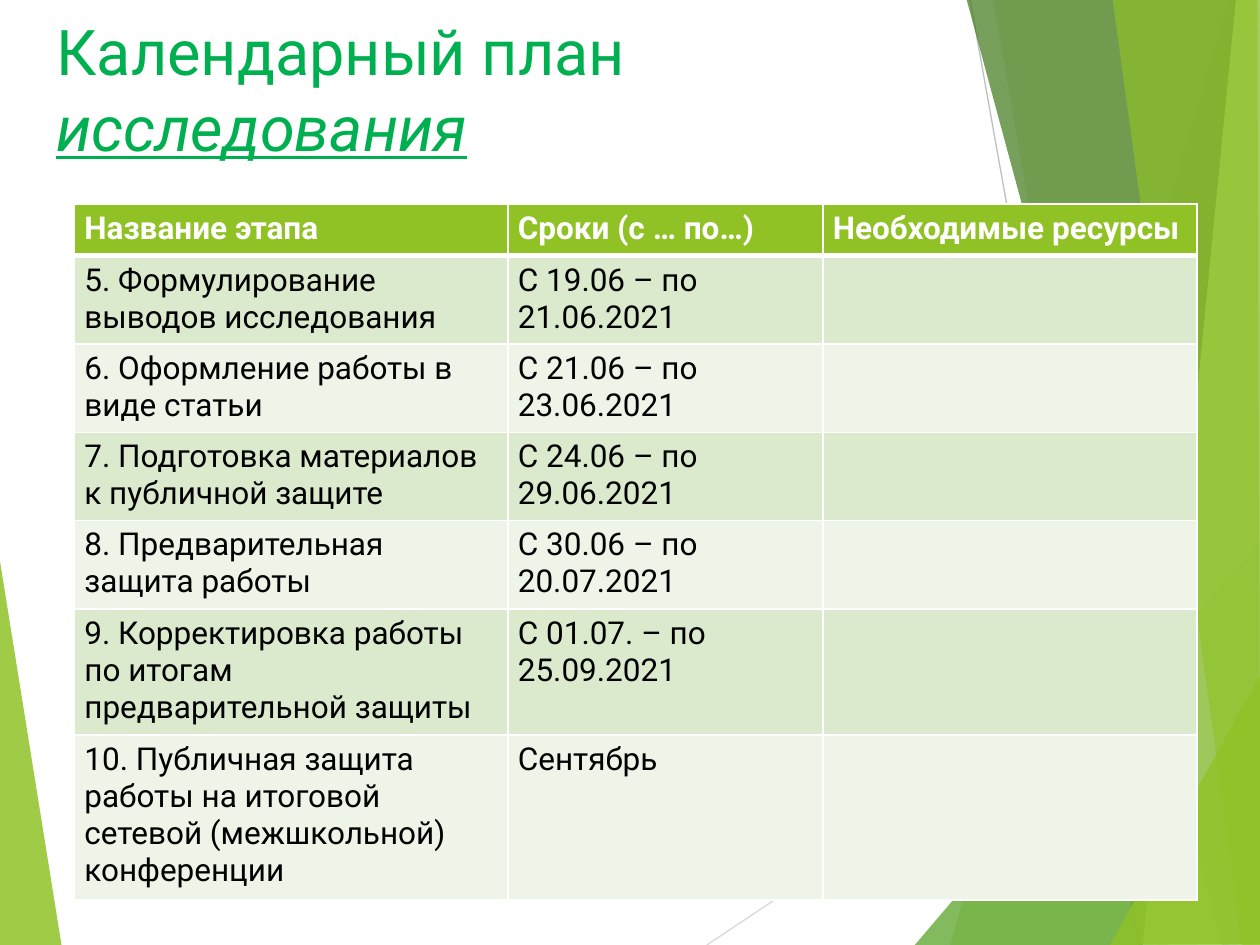
import pptx
import pptx.dml.color
import pptx.enum.shapes
import pptx.enum.text
import pptx.oxml.ns
import pptx.util
from lxml import etree

Inches, Pt = pptx.util.Inches, pptx.util.Pt
RGBColor = pptx.dml.color.RGBColor
qn = pptx.oxml.ns.qn

FONT = "Roboto"
WHITE = RGBColor(0xFF, 0xFF, 0xFF)
BLACK = RGBColor(0, 0, 0)
TITLE_GREEN = RGBColor(0x00, 0xB0, 0x50)
LIME = RGBColor(0x90, 0xC2, 0x26)
GREEN = RGBColor(0x54, 0xA0, 0x21)
DARK_GREEN = RGBColor(0x3F, 0x78, 0x19)
PALE_LIME = RGBColor(0xC0, 0xE4, 0x74)
LIGHT_GRAY = RGBColor(0xD9, 0xD9, 0xD9)
GRAY = RGBColor(0xBF, 0xBF, 0xBF)
BAND_DARK = RGBColor(0xDB, 0xE9, 0xCD)
BAND_LIGHT = RGBColor(0xEE, 0xF4, 0xE8)

# Corners as shares of the slide's width and height, in inches on 10 x 7.5
LEFT_WEDGE = ([(-0.01, 4.39), (0.49, 7.51), (-0.01, 7.5)], LIME, 85)
RIGHT_FACETS = [
    ([(9.75, 0), (7.54, 7.5), (10.02, 7.51), (10.01, 0.01)], LIME, 30),
    ([(7.88, -0.01), (9.19, 7.5), (10.01, 7.5), (10.01, -0.01)], LIME, 20),
    ([(7.26, 7.5), (10, 4.29), (10.01, 7.5)], GREEN, 72),
    ([(7.67, -0.01), (9.7, 7.5), (10.01, 7.49), (10.01, -0.01)], DARK_GREEN, 70),
    ([(9.81, -0.01), (9.07, 7.5), (10.01, 7.5), (10, -0.01)], PALE_LIME, 70),
    ([(8.83, -0.01), (9.86, 7.5), (10, 7.5), (9.98, -0.01)], LIME, 65),
    ([(8.81, 7.5), (10.01, 5.35), (10.01, 7.49)], LIME, 80),
]
RAYS = [((5.61, 7.5), (10.01, 4.57), LIGHT_GRAY), ((7.7, 0), (9.04, 7.5), GRAY)]

HEADER = ("Название этапа", "Сроки (с … по…)", "Необходимые ресурсы")
STAGES = [
    ("5. Формулирование выводов исследования", "С 19.06 – по 21.06.2021", ""),
    ("6. Оформление работы в виде статьи", "С 21.06 – по 23.06.2021", ""),
    ("7. Подготовка материалов к публичной защите", "С 24.06 – по 29.06.2021", ""),
    ("8. Предварительная защита работы", "С 30.06 – по 20.07.2021", ""),
    ("9. Корректировка работы по итогам предварительной защиты",
     "С 01.07. – по 25.09.2021", ""),
    ("10. Публичная защита работы на итоговой сетевой (межшкольной) конференции",
     "Сентябрь", ""),
]
COL_WIDTHS = (3.44, 2.5, 2.97)
ROW_HEIGHTS = (0.41, 0.68, 0.68, 0.68, 0.68, 0.98, 1.31)


def add_text(p, text, size=18, color=BLACK, bold=False, italic=False, underline=False):
    r = p.add_run()
    r.text = text
    f = r.font
    f.name, f.size, f.color.rgb = FONT, Pt(size), color
    f.bold, f.italic, f.underline = bold, italic, underline


def add_facet(slide, left, top, scale, points, color, opacity):
    corners = [(Inches(left + x * scale), Inches(top + y * scale)) for x, y in points]
    builder = slide.shapes.build_freeform(*corners[0])
    builder.add_line_segments(corners[1:], close=True)
    sp = builder.convert_to_shape()
    sp.shadow.inherit = False
    sp.fill.solid()
    sp.fill.fore_color.rgb = color
    sp.line.fill.background()
    clr = sp.fill._xPr.find(qn("a:solidFill")).find(qn("a:srgbClr"))
    etree.SubElement(clr, qn("a:alpha"), val=str(opacity * 1000))


def add_backdrop(slide, left, top, width):
    scale = width / 10
    add_facet(slide, left, top, scale, *LEFT_WEDGE)
    # Thin rays behind the facets
    for (x1, y1), (x2, y2), color in RAYS:
        line = slide.shapes.add_connector(
            pptx.enum.shapes.MSO_CONNECTOR.STRAIGHT,
            Inches(left + x1 * scale), Inches(top + y1 * scale),
            Inches(left + x2 * scale), Inches(top + y2 * scale))
        line.line.color.rgb = color
        line.line.width = Pt(0.75)
        etree.SubElement(line._element.spPr, qn("a:effectLst"))
    for facet in RIGHT_FACETS:
        add_facet(slide, left, top, scale, *facet)


def add_title(slide, left, top, width, height):
    box = slide.shapes.add_textbox(Inches(left), Inches(top), Inches(width), Inches(height))
    tf = box.text_frame
    tf.word_wrap = True
    tf.vertical_anchor = pptx.enum.text.MSO_ANCHOR.TOP
    p = tf.paragraphs[0]
    add_text(p, "Календарный план ", size=36, color=TITLE_GREEN)
    add_text(p, "исследования", size=36, color=TITLE_GREEN, italic=True, underline=True)


def set_borders(cell, **widths):
    tc_pr = cell._tc.get_or_add_tcPr()
    for side in "LRTB":
        ln = etree.SubElement(tc_pr, qn("a:ln" + side), w=str(Pt(widths.get(side, 1))))
        fill = etree.SubElement(ln, qn("a:solidFill"))
        etree.SubElement(fill, qn("a:srgbClr"), val=str(WHITE))


def add_plan_table(slide, left, top, width, height):
    rows = [HEADER] + STAGES
    table = slide.shapes.add_table(len(rows), len(HEADER), Inches(left), Inches(top),
                                   Inches(width), Inches(height)).table
    for col, w in zip(table.columns, COL_WIDTHS):
        col.width = Inches(w)
    for row, h in zip(table.rows, ROW_HEIGHTS):
        row.height = Inches(h)
    for i, texts in enumerate(rows):
        head = i == 0
        band = LIME if head else BAND_DARK if i % 2 else BAND_LIGHT
        for j, text in enumerate(texts):
            cell = table.cell(i, j)
            cell.margin_left = cell.margin_right = Inches(0.08)
            cell.margin_top = cell.margin_bottom = Inches(0.05)
            set_borders(cell, T=3 if i == 1 else 1, B=3 if head else 1)
            cell.fill.solid()
            cell.fill.fore_color.rgb = band
            if text:
                add_text(cell.text_frame.paragraphs[0], text,
                         color=WHITE if head else BLACK, bold=head)


def main():
    prs = pptx.Presentation()
    prs.slide_width, prs.slide_height = Inches(10), Inches(7.5)
    slide = prs.slides.add_slide(prs.slide_layouts[6])
    add_backdrop(slide, 0, 0, 10)
    add_title(slide, 0.35, 0.05, 6.94, 1.44)
    add_plan_table(slide, 0.59, 1.62, sum(COL_WIDTHS), sum(ROW_HEIGHTS))
    prs.save("out.pptx")


if __name__ == "__main__":
    main()
